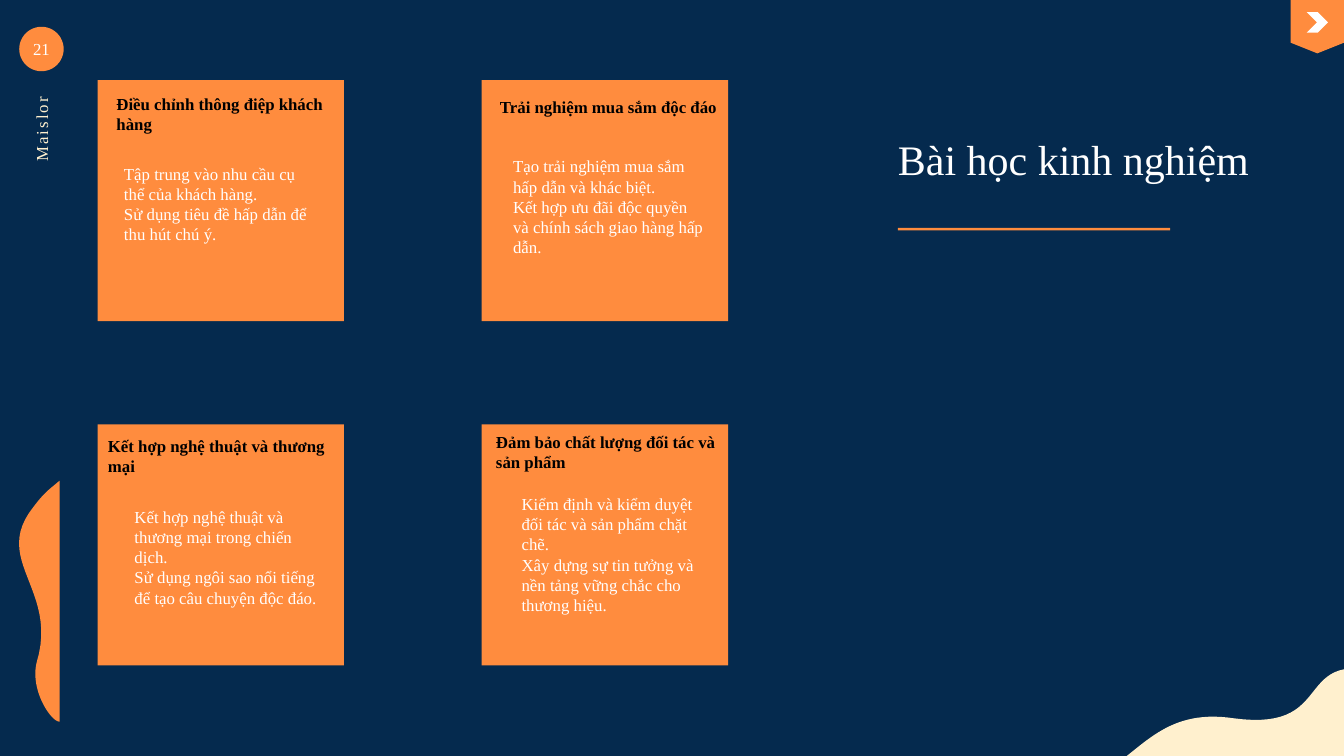
from dataclasses import dataclass

import pptx
import pptx.dml.color
import pptx.enum.shapes
import pptx.enum.text
import pptx.util

Cm, Pt = pptx.util.Cm, pptx.util.Pt
RGB = pptx.dml.color.RGBColor
MSO = pptx.enum.shapes.MSO_SHAPE
ALIGN = pptx.enum.text.PP_ALIGN
ANCHOR = pptx.enum.text.MSO_ANCHOR

Point = tuple[float, float]
Box = tuple[float, float, float, float]


@dataclass(frozen=True)
class Theme:
    navy: RGB = RGB(0x05, 0x2A, 0x4E)
    orange: RGB = RGB(0xFF, 0x8C, 0x3E)
    cream: RGB = RGB(0xFF, 0xF0, 0xCE)
    white: RGB = RGB(0xFF, 0xFF, 0xFF)
    black: RGB = RGB(0, 0, 0)
    font: str = "Times New Roman"
    title: Pt = Pt(60)
    text: Pt = Pt(24)


@dataclass(frozen=True)
class Card:
    col: int
    row: int
    heading: str
    heading_box: Box
    lines: list[str]
    body_box: Box


THEME = Theme()
CARD_W, CARD_H = 12.42, 12.14
CARD_LEFT, CARD_TOP = 4.92, 4.04
PITCH_X, PITCH_Y = 19.36, 17.35
BODY_W = 9.73

CARDS = [
    Card(0, 0, "Điều chỉnh thông điệp khách hàng", (5.79, 4.62, 10.67, 2.21),
         ["Tập trung vào nhu cầu cụ thể của khách hàng.",
          "Sử dụng tiêu đề hấp dẫn để thu hút chú ý."], (6.25, 8.23, BODY_W, 5.6)),
    Card(1, 0, "Trải nghiệm mua sắm độc đáo", (25.12, 4.78, 11.23, 1.19),
         ["Tạo trải nghiệm mua sắm hấp dẫn và khác biệt.",
          "Kết hợp ưu đãi độc quyền và chính sách giao hàng hấp dẫn."],
         (25.86, 7.87, BODY_W, 6.6)),
    Card(0, 1, "Kết hợp nghệ thuật và thương mại", (5.36, 21.89, 12.62, 2.21),
         ["Kết hợp nghệ thuật và thương mại trong chiến dịch.",
          "Sử dụng ngôi sao nổi tiếng để tạo câu chuyện độc đáo."],
         (6.78, 25.53, BODY_W, 6.6)),
    Card(1, 1, "Đảm bảo chất lượng đối tác và sản phẩm", (24.92, 21.67, 12.5, 2.21),
         ["Kiểm định và kiểm duyệt đối tác và sản phẩm chặt chẽ.",
          "Xây dựng sự tin tưởng và nền tảng vững chắc cho thương hiệu."],
         (26.29, 24.89, BODY_W, 7.62)),
]

# A segment of one point is a straight line; of three points, a Bézier curve.
LEFT_WAVE = [
    [(3, 24.23)], [(3, 36.37)],
    [(2.57, 36.37), (1.5, 34.77), (1.85, 33.38)],
    [(2.97, 29.67), (-0.48, 28.24), (1.7, 25.53)],
    [(2.26, 24.79), (2.46, 24.69), (3, 24.23)],
]
CORNER_WAVE = [
    [(62.18, 36.2)],
    [(66.45, 36.78), (65.68, 34.14), (67.74, 33.73)],
    [(67.74, 38.1)], [(56.79, 38.1)],
    [(58.17, 37.01), (59.44, 35.79), (62.18, 36.2)],
]


def set_all(obj, values: dict) -> None:
    for name, value in values.items():
        setattr(obj, name, value)


def paint(sp, color: RGB) -> None:
    sp.shadow.inherit = False
    sp.fill.solid()
    sp.fill.fore_color.rgb = color
    sp.line.fill.background()


def add_shape(slide, kind, box: Box, color: RGB):
    sp = slide.shapes.add_shape(kind, *map(Cm, box))
    paint(sp, color)
    return sp


def write(sp, lines: list[str], color: RGB, size=THEME.text, bold: bool = False,
          align=ALIGN.LEFT, anchor=ANCHOR.TOP, inset: float = 0) -> None:
    tf = sp.text_frame
    set_all(tf, {"word_wrap": True, "vertical_anchor": anchor,
                 "auto_size": pptx.enum.text.MSO_AUTO_SIZE.NONE})
    set_all(tf, {f"margin_{side}": Cm(inset) for side in ("left", "top", "right", "bottom")})
    tf.text = "\n".join(lines)
    for p in tf.paragraphs:
        p.alignment = align
        for r in p.runs:
            set_all(r.font, {"name": THEME.font, "size": size, "bold": bold})
            r.font.color.rgb = color


def add_text(slide, box: Box, lines: list[str], color: RGB, **style):
    sp = slide.shapes.add_textbox(*map(Cm, box))
    write(sp, lines, color, **style)
    return sp


def curve(points: list[Point], steps: int = 24) -> list[Point]:
    """Return points along the cubic Bézier curve, leaving out its start."""
    result = []
    for i in range(1, steps + 1):
        t = i / steps
        weights = ((1 - t) ** 3, 3 * t * (1 - t) ** 2, 3 * t * t * (1 - t), t ** 3)
        result.append(tuple(sum(w * pt[axis] for w, pt in zip(weights, points))
                            for axis in (0, 1)))
    return result


def add_wave(slide, segments: list[list[Point]], color: RGB) -> None:
    outline = list(segments[0])
    for segment in segments[1:]:
        outline += curve([outline[-1], *segment]) if len(segment) == 3 else segment
    start, *rest = [(Cm(x), Cm(y)) for x, y in outline]
    builder = slide.shapes.build_freeform(*start)
    builder.add_line_segments(rest, close=True)
    paint(builder.convert_to_shape(), color)


def add_card(slide, card: Card) -> None:
    left, top = CARD_LEFT + card.col * PITCH_X, CARD_TOP + card.row * PITCH_Y
    add_shape(slide, MSO.RECTANGLE, (left, top, CARD_W, CARD_H), THEME.orange)
    add_text(slide, card.body_box, card.lines, THEME.white)
    add_text(slide, card.heading_box, [card.heading], THEME.black, bold=True, inset=0.08)


def main() -> None:
    prs = pptx.Presentation()
    set_all(prs, {"slide_width": Cm(67.74), "slide_height": Cm(38.1)})
    slide = prs.slides.add_slide(prs.slide_layouts[5])
    slide.background.fill.solid()
    slide.background.fill.fore_color.rgb = THEME.navy

    title = slide.shapes.title
    set_all(title, {"left": Cm(45.26), "top": Cm(6.71), "width": Cm(17.86), "height": Cm(4.29)})
    write(title, ["Bài học kinh nghiệm"], THEME.white, size=THEME.title)
    add_shape(slide, MSO.RECTANGLE, (45.26, 11.48, 13.72, 0.13), THEME.orange)

    add_shape(slide, MSO.FLOWCHART_OFFPAGE_CONNECTOR, (65.05, 0, 2.69, 2.69), THEME.orange)
    add_shape(slide, MSO.CHEVRON, (65.86, 0.61, 1.07, 1.04), THEME.white)

    badge = add_shape(slide, MSO.OVAL, (0.97, 1.35, 2.24, 2.24), THEME.orange)
    write(badge, ["21"], THEME.white, align=ALIGN.CENTER, anchor=ANCHOR.MIDDLE)

    side_name = add_text(slide, (-0.33, 5.26, 4.8, 0.99), ["Maislor"], THEME.cream)
    side_name.rotation = 270
    side_name.text_frame.paragraphs[0].runs[0].font._element.set("spc", "300")

    add_wave(slide, LEFT_WAVE, THEME.orange)
    add_wave(slide, CORNER_WAVE, THEME.cream)
    for card in CARDS:
        add_card(slide, card)
    prs.save("out.pptx")


if __name__ == "__main__":
    main()
